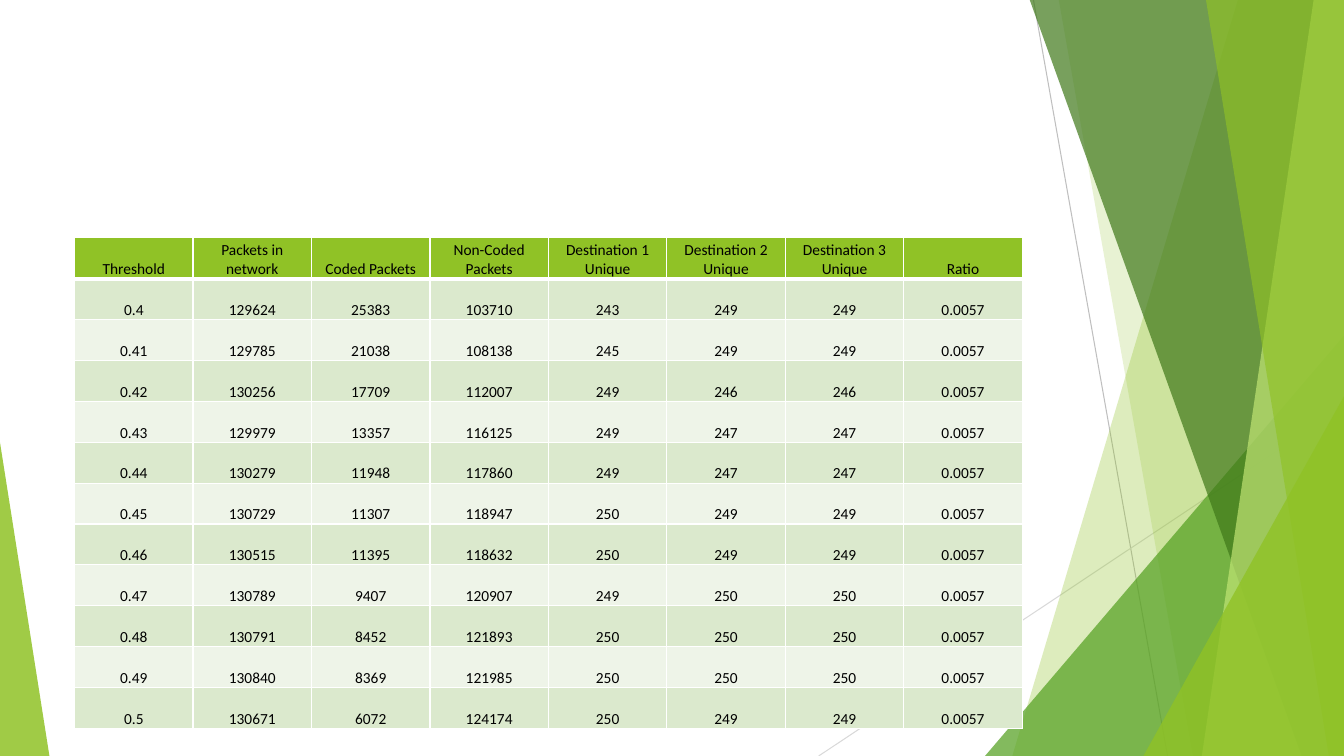
from lxml import etree
from pptx import Presentation, util as u
from pptx.dml.color import RGBColor
from pptx.enum import shapes, text
from pptx.oxml import parse_xml
from pptx.oxml.ns import nsdecls, qn

PX = 9144  # 100 px to the inch
COLORS = {
    "lime": "90C226", "green": "54A021", "forest": "3F7819", "pale": "C0E474",
    "band_dark": "DBE9CD", "band_light": "EEF4E8", "white": "FFFFFF",
    "black": "000000", "line_dark": "BFBFBF", "line_light": "D9D9D9",
}


def paint(shape, color, opacity):
    shape.shadow.inherit = False
    shape.line.fill.background()
    shape.fill.solid()
    shape.fill.fore_color.rgb = RGBColor.from_string(COLORS[color])
    rgb = shape.fill._xPr.find(qn("a:solidFill"))[0]
    etree.SubElement(rgb, qn("a:alpha")).set("val", str(opacity * 1000))


def write(cell, words, font="Calibri", size=11, color="black", bold=False):
    paragraph = cell.text_frame.paragraphs[0]
    paragraph.alignment = text.PP_ALIGN.CENTER
    run = paragraph.add_run()
    run.text = words
    run.font.name, run.font.size, run.font.bold = font, u.Pt(size), bold
    run.font.color.rgb = RGBColor.from_string(COLORS[color])


presentation = Presentation()
presentation.slide_width, presentation.slide_height = 1333 * PX, 750 * PX
slide = presentation.slides.add_slide(presentation.slide_layouts[6])

# Thin diagonal lines
for start_x, start_y, end_x, end_y, color in [
    (1025, 0, 1158, 750, "line_dark"),
    (1333, 403, 812, 750, "line_light"),
]:
    line = slide.shapes.add_connector(
        shapes.MSO_CONNECTOR.STRAIGHT, start_x * PX, start_y * PX, end_x * PX, end_y * PX)
    line.line.width = u.Pt(0.75)
    line.line.color.rgb = RGBColor.from_string(COLORS[color])
    etree.SubElement(line._element.spPr, qn("a:effectLst"))

# Translucent facets, back to front: a band runs from its top left corner to
# its bottom left corner and fills the slide to the right edge
facets = [
    ("band", (1228, 1004), "lime", 30),
    ("band", (1050, 1183), "lime", 20),
    ("triangle", (977, 333, 356, 417, 1), "green", 72),
    ("band", (1021, 1291), "forest", 70),
    ("band", (1303, 1192), "pale", 70),
    ("band", (1196, 1318), "lime", 65),
    ("triangle", (1134, 393, 199, 357, 1), "lime", 80),
    ("triangle", (0, 439, 49, 311, 0), "lime", 85),
]
for kind, geometry, color, opacity in facets:
    if kind == "band":
        top_x, bottom_x = geometry
        outline = slide.shapes.build_freeform(top_x, -1, scale=PX)
        outline.add_line_segments([(1333, -1), (1333, 750), (bottom_x, 750)], close=True)
        facet = outline.convert_to_shape()
    else:
        left, top, width, height, apex = geometry
        facet = slide.shapes.add_shape(
            shapes.MSO_SHAPE.ISOSCELES_TRIANGLE, left * PX, top * PX, width * PX, height * PX)
        facet.adjustments[0] = apex
    paint(facet, color, opacity)

# Results table; the ratio is the same at every threshold
headers = ["Threshold", "Packets in network", "Coded Packets", "Non-Coded Packets",
           "Destination 1 Unique", "Destination 2 Unique", "Destination 3 Unique", "Ratio"]
results = [
    (0.4, 129624, 25383, 103710, 243, 249, 249),
    (0.41, 129785, 21038, 108138, 245, 249, 249),
    (0.42, 130256, 17709, 112007, 249, 246, 246),
    (0.43, 129979, 13357, 116125, 249, 247, 247),
    (0.44, 130279, 11948, 117860, 249, 247, 247),
    (0.45, 130729, 11307, 118947, 250, 249, 249),
    (0.46, 130515, 11395, 118632, 250, 249, 249),
    (0.47, 130789, 9407, 120907, 249, 250, 250),
    (0.48, 130791, 8452, 121893, 250, 250, 250),
    (0.49, 130840, 8369, 121985, 250, 250, 250),
    (0.5, 130671, 6072, 124174, 250, 249, 249),
]
rows = [headers] + [(*result, 0.0057) for result in results]
table = slide.shapes.add_table(
    len(rows), len(headers), 74 * PX, 236 * PX, 940 * PX, 487 * PX).table
for row_index, row in enumerate(rows):
    if row_index == 0:
        fill = "lime"
    else:
        fill = "band_dark" if row_index % 2 else "band_light"
    for column_index, value in enumerate(row):
        cell = table.cell(row_index, column_index)
        cell.vertical_anchor = text.MSO_ANCHOR.BOTTOM
        cell.margin_left = cell.margin_right = cell.margin_top = PX
        cell.margin_bottom = 0
        write(cell, str(value))
        for side in "LRTB":
            at_header_edge = (row_index, side) in [(0, "B"), (1, "T")]
            border_width = u.Pt(3 if at_header_edge else 1)
            cell._tc.get_or_add_tcPr().append(parse_xml(
                f'<a:ln{side} {nsdecls("a")} w="{border_width}"><a:solidFill>'
                f'<a:srgbClr val="{COLORS["white"]}"/></a:solidFill></a:ln{side}>'))
        cell.fill.solid()
        cell.fill.fore_color.rgb = RGBColor.from_string(COLORS[fill])

presentation.save("out.pptx")
